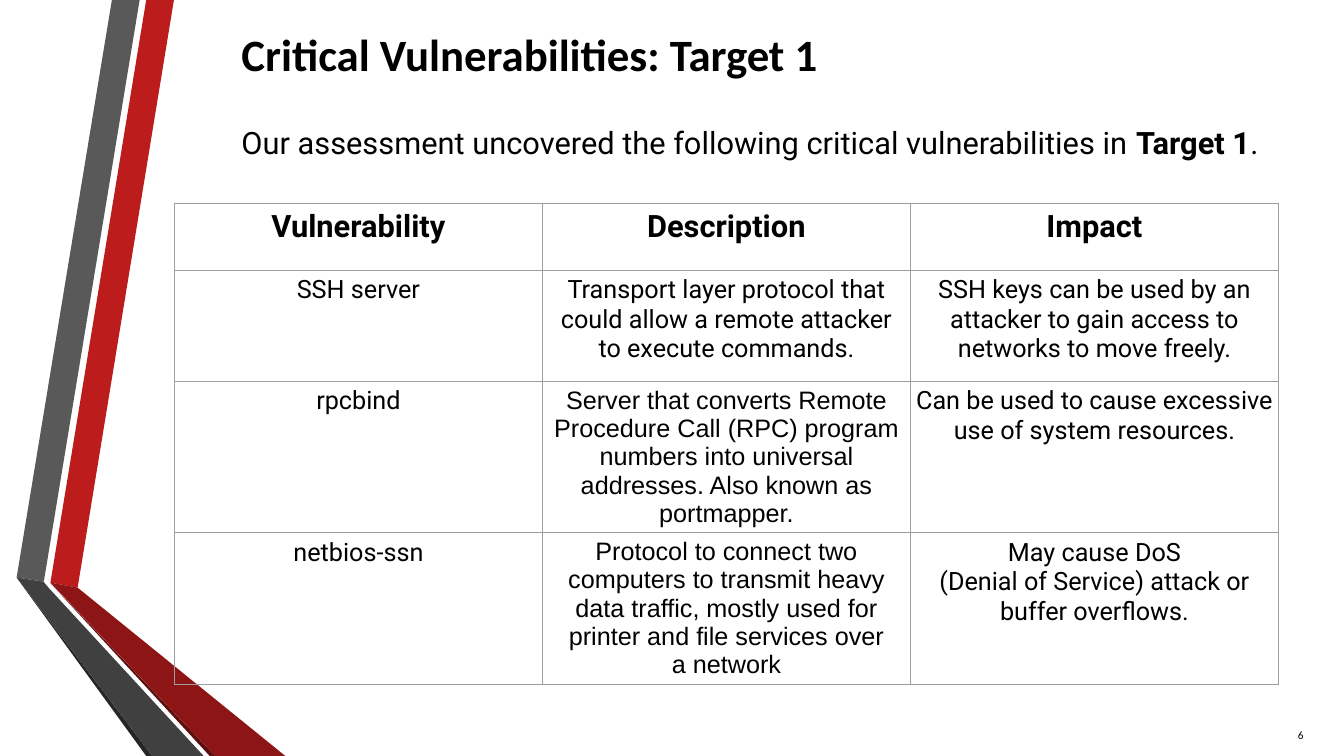
import pptx
import pptx.dml.color
import pptx.enum.text
import pptx.oxml
import pptx.oxml.ns
import pptx.util
from dataclasses import dataclass

Inches = pptx.util.Inches
Align = pptx.enum.text.PP_ALIGN


@dataclass(frozen=True)
class Theme:
    ink: str = "000000"
    grid: str = "9E9E9E"
    red: str = "BC1C1C"
    red_dark: str = "8D1515"
    red_edge: str = "5E0E0E"
    grey: str = "595959"
    grey_dark: str = "404040"
    grey_edge: str = "262626"
    title_font: str = "Calibri"
    text_font: str = "Roboto"
    alternate_font: str = "Arial"
    title_size: int = 64
    lead_size: int = 44
    cell_size: int = 36
    number_size: int = 16
    grid_width: float = 0.75


THEME = Theme()

# Ribbon bands: colour and outline, relative to the ribbon's corner
RIBBON = [
    (THEME.red, [(0.67, 11.56), (1.21, 11.66), (3.12, 0), (2.57, 0)]),
    (THEME.grey, [(2.44, 0), (1.89, 0), (0, 11.46), (0.54, 11.54)]),
    (THEME.grey_edge, [(0, 11.46), (2.57, 15), (2.69, 15)]),
    (THEME.red_edge, [(0.67, 11.57), (3.83, 15), (3.94, 15)]),
    (THEME.red_dark, [(0.67, 11.56), (3.94, 15), (5.33, 15), (1.21, 11.66)]),
    (THEME.grey_dark, [(3.71, 15), (0.64, 11.67), (0.53, 11.54), (0, 11.46), (2.69, 15)]),
]

HEADINGS = ["Vulnerability", "Description", "Impact"]
FINDINGS = [
    ["SSH server",
     "Transport layer protocol that could allow a remote attacker to execute commands.",
     "SSH keys can be used by an attacker to gain access to networks to move freely."],
    ["rpcbind",
     "Server that converts Remote Procedure Call (RPC) program numbers into universal "
     "addresses. Also known as portmapper.",
     "Can be used to cause excessive use of system resources."],
    ["netbios-ssn",
     "Protocol to connect two computers to transmit heavy data traffic, mostly used for "
     "printer and file services over\na network",
     "May cause DoS\n(Denial of Service) attack or buffer overflows."],
]
ALTERNATE_CELLS = {(2, 1), (3, 1)}
ROW_HEIGHTS = [1.32, 2.21, 3, 3]


def format_text(frame, font, size, bold=False, align=Align.LEFT):
    for para in frame.paragraphs:
        para.alignment = align
        para.space_before = pptx.util.Pt(0)
        for span in para.runs:
            span.font.name = font
            span.font.size = pptx.util.Pt(size)
            span.font.bold = bold
            span.font.color.rgb = pptx.dml.color.RGBColor.from_string(THEME.ink)


def place_text(shape, box, insets):
    """Position a text shape and set its insets: left, top, right, bottom."""
    shape.left, shape.top, shape.width, shape.height = map(Inches, box)
    frame = shape.text_frame
    frame.margin_left, frame.margin_top, frame.margin_right, frame.margin_bottom = map(
        Inches, insets)
    frame.word_wrap = True
    frame.auto_size = pptx.enum.text.MSO_AUTO_SIZE.NONE
    frame.vertical_anchor = pptx.enum.text.MSO_ANCHOR.TOP
    return frame


def add_ribbon(page, left, top):
    for color, outline in RIBBON:
        points = [(Inches(left + x), Inches(top + y)) for x, y in outline]
        builder = page.shapes.build_freeform(*points[0])
        builder.add_line_segments(points[1:], close=True)
        band = builder.convert_to_shape()
        band.shadow.inherit = False
        band.fill.solid()
        band.fill.fore_color.rgb = pptx.dml.color.RGBColor.from_string(color)
        band.line.fill.background()


def add_title(page, box):
    frame = place_text(page.shapes.title, box, (1.33, 0.53, 0.8, 0.27))
    frame.text = "Critical Vulnerabilities: Target 1"
    format_text(frame, THEME.title_font, THEME.title_size, bold=True)


def add_lead(page, box):
    frame = place_text(page.placeholders[1], box, (1.33, 0, 1.33, 2.67))
    para = frame.paragraphs[0]
    for words in ("Our assessment uncovered the following critical vulnerabilities in ",
                  "Target 1", "."):
        para.add_run().text = words
    format_text(frame, THEME.text_font, THEME.lead_size)
    para.runs[1].font.bold = True
    # No bullet and no hanging indent
    properties = para._p.get_or_add_pPr()
    properties.set("marL", "0")
    properties.set("indent", "0")
    properties.append(pptx.oxml.parse_xml(
        f'<a:buNone {pptx.oxml.ns.nsdecls("a")}/>'))


def add_page_number(page, box):
    frame = place_text(page.shapes.add_textbox(0, 0, 0, 0), box, (0, 0, 0, 0.27))
    frame.text = "6"
    format_text(frame, THEME.title_font, THEME.number_size, align=Align.RIGHT)


def draw_borders(cell):
    properties = cell._tc.get_or_add_tcPr()
    for side in ("lnL", "lnR", "lnT", "lnB"):
        properties.append(pptx.oxml.parse_xml(
            f'<a:{side} {pptx.oxml.ns.nsdecls("a")} w="{pptx.util.Pt(THEME.grid_width)}">'
            f'<a:solidFill><a:srgbClr val="{THEME.grid}"/></a:solidFill></a:{side}>'))


def add_findings_table(page, left, top, width):
    rows = [HEADINGS] + FINDINGS
    table = page.shapes.add_table(
        len(rows), len(HEADINGS), Inches(left), Inches(top),
        Inches(width), Inches(sum(ROW_HEIGHTS))).table
    table.first_row = table.horz_banding = False
    for row, height in zip(table.rows, ROW_HEIGHTS):
        row.height = Inches(height)
    for r, texts in enumerate(rows):
        for c, text in enumerate(texts):
            cell = table.cell(r, c)
            cell.text_frame.text = text
            cell.margin_left = cell.margin_right = Inches(0.1)
            cell.margin_top = cell.margin_bottom = Inches(0.1)
            draw_borders(cell)
            cell.fill.background()
            heading = r == 0
            format_text(
                cell.text_frame,
                THEME.alternate_font if (r, c) in ALTERNATE_CELLS else THEME.text_font,
                THEME.lead_size if heading else THEME.cell_size,
                bold=heading, align=Align.CENTER)


def main():
    deck = pptx.Presentation()
    deck.slide_width, deck.slide_height = Inches(26.66), Inches(15)
    page = deck.slides.add_slide(deck.slide_layouts[1])
    add_ribbon(page, 0.33, 0)
    add_title(page, (3.46, 0, 26.73, 1.56))
    add_lead(page, (3.46, 2.51, 25.09, 2.57))
    add_findings_table(page, 3.46, 4.04, 21.9)
    add_page_number(page, (25.1, 14.46, 0.76, 0.31))
    deck.save("out.pptx")


if __name__ == "__main__":
    main()
